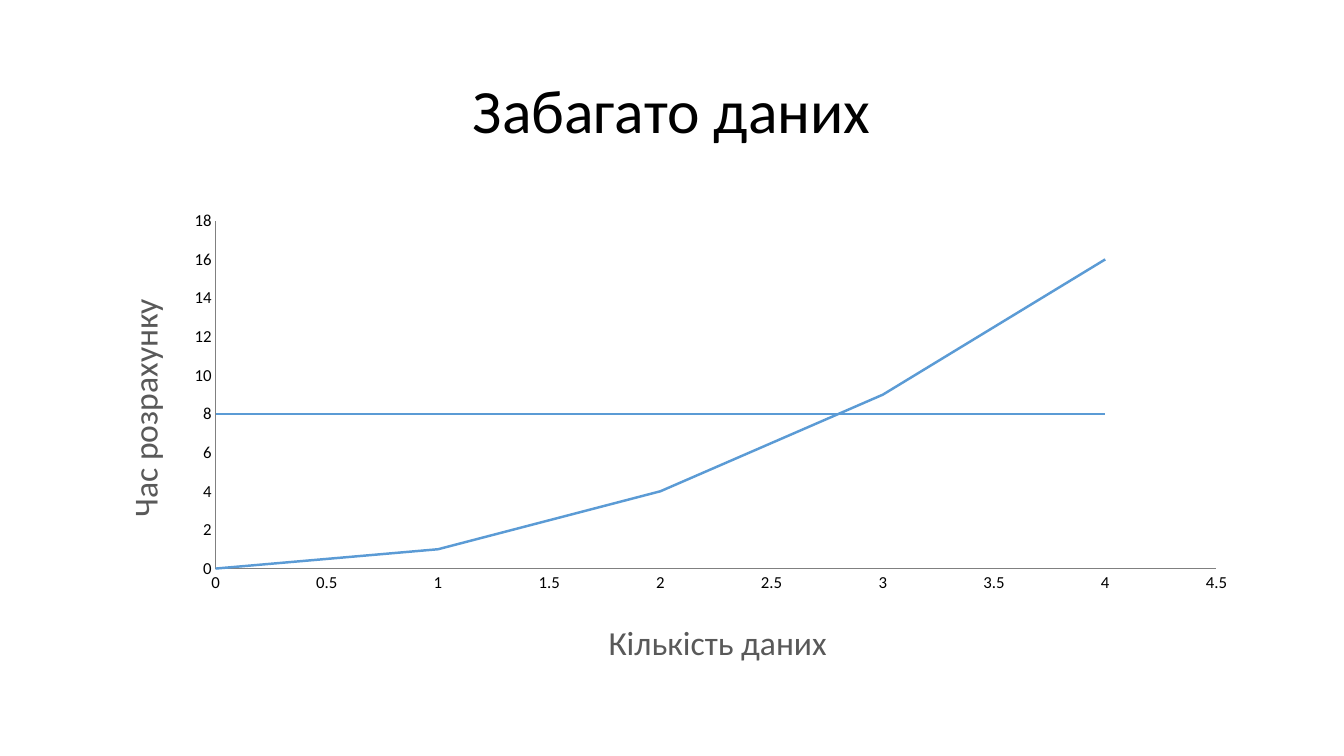
"""Build a slide with a scatter chart of calculation time against data volume."""
from lxml.etree import SubElement
from pptx import Presentation
from pptx.chart.data import XyChartData
from pptx.dml.color import RGBColor
from pptx.enum.chart import XL_CHART_TYPE, XL_TICK_MARK
from pptx.enum.text import MSO_ANCHOR, PP_ALIGN
from pptx.oxml.ns import qn
from pptx.util import Inches, Pt

TITLE = "Забагато даних"
AMOUNTS = [0, 1, 2, 3, 4]
SERIES = {"Series 1": [0, 1, 4, 9, 16], "Series 2": [8, 8, 8, 8, 8]}
AXES = {
    "category": {"title": "Кількість даних", "place": (0.44, 0.86), "maximum": 4.5, "step": 0.5},
    "value": {"title": "Час розрахунку", "place": (0.02, 0.19), "maximum": 18, "step": 2},
}
PLOT_PLACE = (0.106, 0.04, 0.864, 0.725)
COLORS = {"text": "000000", "axis title": "595959", "axis": "808080", "curve": "5B9BD5"}
FONT = "Calibri"
WIDTH, HEIGHT = 13.33, 7.5
MARGIN = 0.92
CONTENT_WIDTH = WIDTH - 2 * MARGIN


def style_font(font, size, color):
    font.name, font.size, font.bold = FONT, Pt(size), False
    font.color.rgb = RGBColor.from_string(COLORS[color])


def style_line(line, width, color):
    line.width = Pt(width)
    line.color.rgb = RGBColor.from_string(COLORS[color])


def set_layout(element, place, inner=False):
    """Place a chart part by shares of the chart's size."""
    for old_layout in element.findall(qn("c:layout")):
        element.remove(old_layout)
    layout = SubElement(element, qn("c:layout"))
    manual = SubElement(layout, qn("c:manualLayout"))
    settings = [("layoutTarget", "inner")] if inner else []
    settings += [("xMode", "edge"), ("yMode", "edge")] + list(zip("xywh", place))
    for name, value in settings:
        SubElement(manual, qn(f"c:{name}")).set("val", str(value))
    element.insert(0 if inner else 1, layout)


def style_axis(axis, settings):
    axis.has_major_gridlines = axis.has_minor_gridlines = False
    axis.major_tick_mark = axis.minor_tick_mark = XL_TICK_MARK.NONE
    axis.minimum_scale, axis.maximum_scale = 0, settings["maximum"]
    axis.major_unit = settings["step"]
    axis.tick_labels.number_format = "General"
    axis.tick_labels.number_format_is_linked = False
    style_font(axis.tick_labels.font, 12, "text")
    style_line(axis.format.line, 1, "axis")
    run = axis.axis_title.text_frame.paragraphs[0].add_run()
    run.text = settings["title"]
    style_font(run.font, 24, "axis title")
    set_layout(axis.axis_title._element, settings["place"])


def add_title(slide):
    title = slide.shapes.title
    title.left, title.top = Inches(MARGIN), Inches(0.4)
    title.width, title.height = Inches(CONTENT_WIDTH), Inches(1.45)
    title.text_frame.vertical_anchor = MSO_ANCHOR.MIDDLE
    paragraph = title.text_frame.paragraphs[0]
    paragraph.alignment, paragraph.line_spacing = PP_ALIGN.CENTER, 0.9
    run = paragraph.add_run()
    run.text = TITLE
    style_font(run.font, 44, "text")


def add_time_chart(slide):
    data = XyChartData()
    for name, times in SERIES.items():
        series = data.add_series(name)
        for amount, time in zip(AMOUNTS, times):
            series.add_data_point(amount, time)
    chart = slide.shapes.add_chart(
        XL_CHART_TYPE.XY_SCATTER_SMOOTH_NO_MARKERS,
        Inches(MARGIN), Inches(2), Inches(CONTENT_WIDTH), Inches(4.76), data).chart
    chart.has_title = chart.has_legend = False
    style_font(chart.font, 10, "text")
    plot = chart.plots[0]
    plot.vary_by_categories = False
    for series in plot.series:
        series.smooth = True
        style_line(series.format.line, 1.75, "curve")
    style_axis(chart.category_axis, AXES["category"])
    style_axis(chart.value_axis, AXES["value"])
    body = chart.value_axis.axis_title.text_frame._txBody.find(qn("a:bodyPr"))
    body.set("rot", "-5400000")
    body.set("vert", "horz")
    set_layout(chart._chartSpace.chart.plotArea, PLOT_PLACE, inner=True)


def main():
    presentation = Presentation()
    presentation.slide_width, presentation.slide_height = Inches(WIDTH), Inches(HEIGHT)
    slide = presentation.slides.add_slide(presentation.slide_layouts[5])
    add_title(slide)
    add_time_chart(slide)
    presentation.save("out.pptx")


if __name__ == "__main__":
    main()
